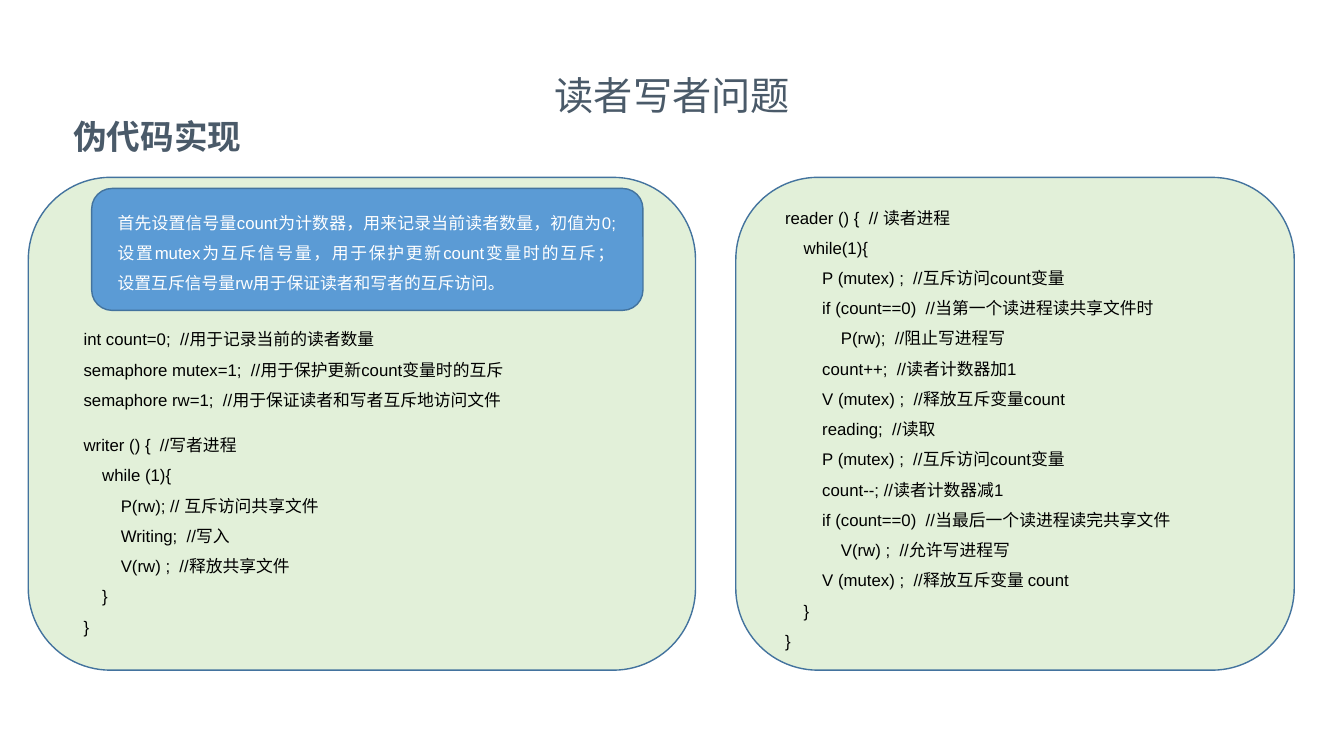
from dataclasses import dataclass
from itertools import groupby

from lxml.etree import SubElement
from pptx import Presentation
from pptx.dml.color import RGBColor as RGB
from pptx.enum.shapes import MSO_SHAPE as Shape
from pptx.enum.text import MSO_ANCHOR as Anchor, PP_ALIGN as Align
from pptx.oxml.ns import qn
from pptx.slide import Slide
from pptx.util import Pt

COLORS = {"panel": "E2F0D9", "note": "5B9BD5", "border": "43739E",
          "heading": "4A5A69", "code": "000000", "light": "FFFFFF"}
LATIN, CJK = "Arial", "Noto Sans CJK SC"
LINE_PITCH = 21.6


@dataclass
class Panel:
    left: float
    top: float
    width: float
    height: float
    fill: str


@dataclass
class TextBlock:
    left: float
    top: float
    width: float
    height: float
    text: str
    color: str = "code"
    size: float = 12
    bold: bool = False
    align: Align = Align.LEFT
    pitch: float | None = LINE_PITCH
    wrap: bool = True
    one_paragraph: bool = False


NOTE = """首先设置信号量count为计数器，用来记录当前读者数量，初值为0;
设置mutex为互斥信号量，用于保护更新count变量时的互斥；
设置互斥信号量rw用于保证读者和写者的互斥访问。"""

# A blank line here becomes half a line of space before the next paragraph
WRITER = """int count=0;  //用于记录当前的读者数量
semaphore mutex=1;  //用于保护更新count变量时的互斥
semaphore rw=1;  //用于保证读者和写者互斥地访问文件

writer () {  //写者进程
    while (1){
        P(rw); // 互斥访问共享文件
        Writing;  //写入
        V(rw) ;  //释放共享文件
    }
}"""

READER = """reader () {  // 读者进程
    while(1){
        P (mutex) ;  //互斥访问count变量
        if (count==0)  //当第一个读进程读共享文件时
            P(rw);  //阻止写进程写
        count++;  //读者计数器加1
        V (mutex) ;  //释放互斥变量count
        reading;  //读取
        P (mutex) ;  //互斥访问count变量
        count--; //读者计数器减1
        if (count==0)  //当最后一个读进程读完共享文件
            V(rw) ;  //允许写进程写
        V (mutex) ;  //释放互斥变量 count
    }
}"""

PANELS = [
    Panel(525.6, 126.7, 398.9, 352, "panel"),
    Panel(20.2, 126.7, 476.6, 352, "panel"),
    Panel(65.5, 134.6, 393.8, 87.1, "note"),
]

BLOCKS = [
    TextBlock(388, 47.5, 184.3, 41, "读者写者问题", "heading", 28,
              align=Align.CENTER, pitch=None, wrap=False),
    TextBlock(33.1, 79.2, 158.4, 36, "伪代码实现", "heading", 24, True,
              align=Align.CENTER, pitch=None),
    TextBlock(77, 130.3, 370.1, 93.6, NOTE, "light",
              align=Align.JUSTIFY, one_paragraph=True),
    TextBlock(52.6, 224.6, 416.2, 233.3, WRITER),
    TextBlock(553.7, 131.8, 379.4, 342, READER),
]


def is_cjk(char: str) -> bool:
    return ord(char) > 0x2E80


def add_panel(s: Slide, panel: Panel) -> None:
    sp = s.shapes.add_shape(Shape.ROUNDED_RECTANGLE, Pt(panel.left), Pt(panel.top),
                            Pt(panel.width), Pt(panel.height))
    sp.shadow.inherit = False
    sp.fill.solid()
    sp.fill.fore_color.rgb = RGB.from_string(COLORS[panel.fill])
    sp.line.color.rgb = RGB.from_string(COLORS["border"])
    sp.line.width = Pt(1)


def add_runs(p, line: str, block: TextBlock) -> None:
    for cjk, chars in groupby(line, key=is_cjk):
        r = p.add_run()
        r.text = "".join(chars)
        r.font.name = CJK if cjk else LATIN
        r.font.size = Pt(block.size)
        r.font.bold = block.bold
        r.font.color.rgb = RGB.from_string(COLORS[block.color])
        SubElement(r.font._element, qn("a:ea"), typeface=CJK)


def add_text(s: Slide, block: TextBlock) -> None:
    sp = s.shapes.add_textbox(Pt(block.left), Pt(block.top),
                              Pt(block.width), Pt(block.height))
    tf = sp.text_frame
    tf.word_wrap = block.wrap
    tf.vertical_anchor = Anchor.MIDDLE
    p, gap = tf.paragraphs[0], False
    for i, line in enumerate(block.text.split("\n")):
        if not line:
            gap = True
            continue
        if i and block.one_paragraph:
            p.add_line_break()
        elif i:
            p = tf.add_paragraph()
        p.alignment = block.align
        if block.pitch:
            p.line_spacing = Pt(block.pitch)
        if gap:
            p.space_before = Pt(LINE_PITCH / 2)
            gap = False
        add_runs(p, line, block)


def main() -> None:
    prs = Presentation()
    prs.slide_width, prs.slide_height = Pt(960), Pt(540)
    s = prs.slides.add_slide(prs.slide_layouts[6])

    # Rounded panels, back to front
    for panel in PANELS:
        add_panel(s, panel)

    # Headings, note and pseudocode
    for block in BLOCKS:
        add_text(s, block)

    prs.save("out.pptx")


if __name__ == "__main__":
    main()
